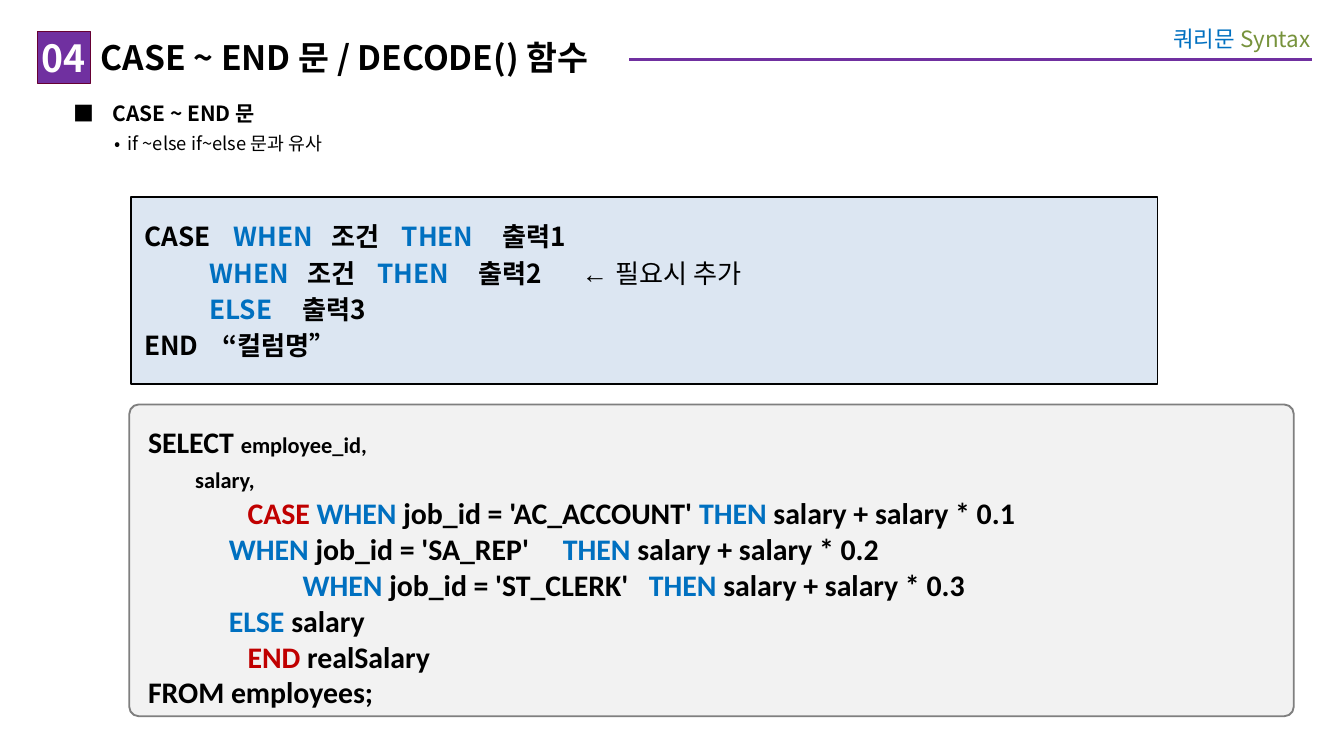
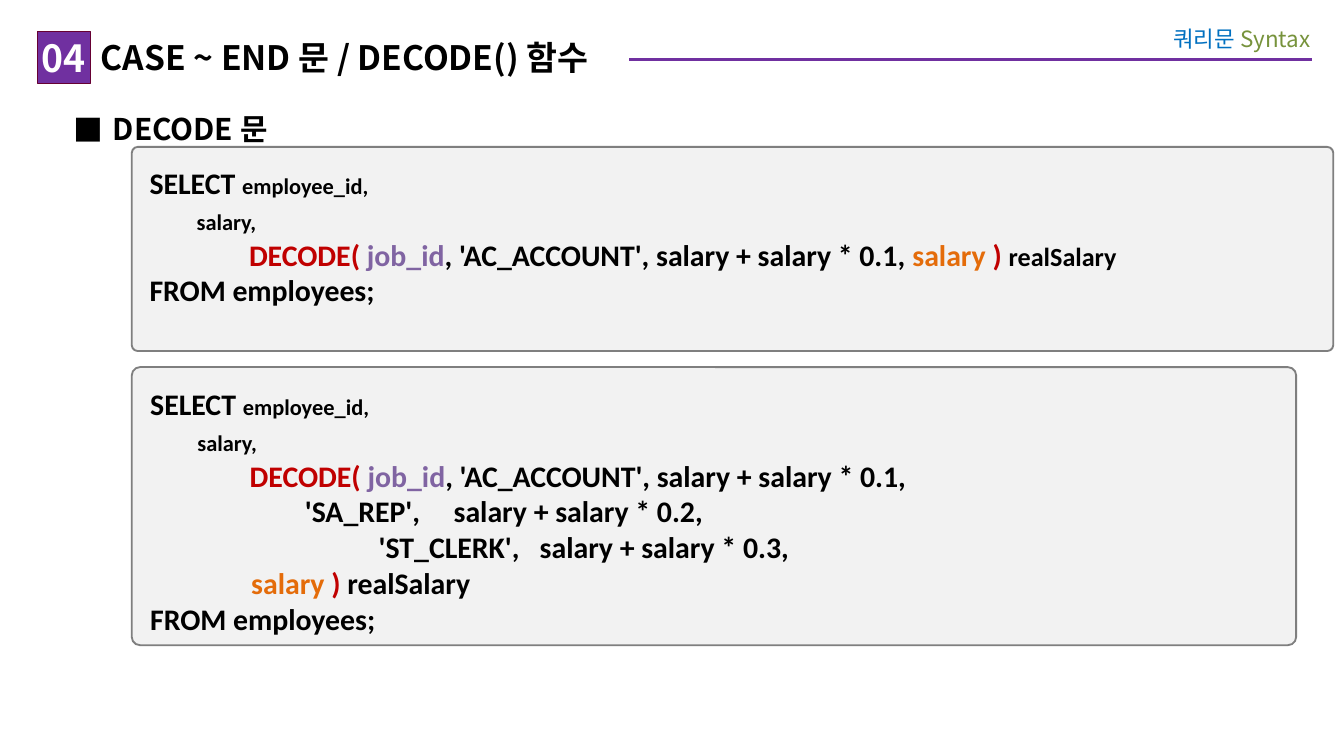
from dataclasses import dataclass

from lxml.etree import SubElement
from pptx import Presentation
from pptx.dml.color import RGBColor
from pptx.enum.shapes import MSO_CONNECTOR, MSO_SHAPE
from pptx.enum.text import MSO_ANCHOR, PP_ALIGN
from pptx.oxml.ns import qn
from pptx.util import Pt


@dataclass(frozen=True)
class Theme:
    sans: str = "Noto Sans CJK KR"
    code: str = "Calibri"
    arrow: str = "Arial"
    black: str = "000000"
    white: str = "FFFFFF"
    purple: str = "7030A0"
    badge_edge: str = "660033"
    blue: str = "0070C0"
    green: str = "77933C"
    red: str = "C00000"
    violet: str = "8064A2"
    orange: str = "E46C0A"
    syntax_fill: str = "DCE6F2"
    code_fill: str = "F2F2F2"
    code_edge: str = "7F7F7F"
    badge_size: float = 20
    title_size: float = 18
    code_size: float = 16
    syntax_size: float = 14
    result_size: float = 14
    column_size: float = 12
    header_size: float = 12


THEME = Theme()

# Span formats that override the base format of a box
BLUE = {"color": THEME.blue}
RED = {"color": THEME.red}
VIOLET = {"color": THEME.violet}
ORANGE = {"color": THEME.orange}
COLUMN = {"size": THEME.column_size}

# Code lines, each a list of (text, format) spans
SELECT_LINES = [
    [("SELECT ", {}), ("employee_id,", COLUMN)],
    [("       ", {}), ("salary,", COLUMN)],
]
FROM_LINE = [("FROM employees;", {})]
DECODE_START = [("\t ", {}), ("DECODE( ", RED), ("job_id", VIOLET)]
DECODE_END = [("salary ", ORANGE), (") ", RED)]


def when_line(lead, job, rate):
    return lead + [("WHEN", BLUE), (f" job_id = {job}", {}),
                   ("THEN", BLUE), (f" salary + salary * {rate}", {})]


CASE_QUERY = SELECT_LINES + [
    when_line([("\t ", {}), ("CASE ", RED)], "'AC_ACCOUNT' ", 0.1),
    when_line([("            ", {})], "'SA_REP'     ", 0.2),
    when_line([("\t\t   ", {})], "'ST_CLERK'   ", 0.3),
    [("            ", {}), ("ELSE", BLUE), (" salary", {})],
    [("\t ", {}), ("END", RED), (" realSalary", {})],
    FROM_LINE,
]
SHORT_DECODE_QUERY = SELECT_LINES + [
    DECODE_START + [(", 'AC_ACCOUNT', salary + salary * 0.1, ", {})]
    + DECODE_END + [("realSalary", {"size": THEME.result_size})],
    FROM_LINE,
]
LONG_DECODE_QUERY = SELECT_LINES + [
    DECODE_START + [(", 'AC_ACCOUNT', salary + salary * 0.1,", {})],
    [(" " * 23 + "'SA_REP',     salary + salary * 0.2,", {})],
    [("\t\t" + " " * 14 + "'ST_CLERK',   salary + salary * 0.3,", {})],
    [(" " * 15, {})] + DECODE_END + [("realSalary", {})],
    FROM_LINE,
]

# Syntax lines: tab stops in points, then spans
WHEN_SPANS = [("WHEN\t", BLUE), ("조건\t", {}), ("THEN\t", BLUE)]
SYNTAX_LINES = [
    ([48, 100.6, 138, 192], [("CASE\t", {})] + WHEN_SPANS + [("출력1", {})]),
    ([35, 87.5, 125, 179, 234.5],
     [("\t", {})] + WHEN_SPANS
     + [("출력2\t", {}), ("← ", {"name": THEME.arrow, "bold": False}),
        ("필요시 추가", {"bold": False})]),
    ([35, 85], [("\t", {}), ("ELSE\t", BLUE), ("출력3", {})]),
    ([42], [("END\t“컬럼명”", {})]),
]


# Text helpers
def add_spans(para, spans, base):
    for text, changes in spans:
        span = para.add_run()
        span.text = text
        values = {**base, **changes}
        span.font.color.rgb = RGBColor.from_string(values.pop("color"))
        values["size"] = Pt(values["size"])
        for key, value in values.items():
            setattr(span.font, key, value)
        SubElement(span.font._element, qn("a:ea"), typeface=values["name"])


def add_para(frame, spans, base, tabs=(), bullet=None, **formats):
    first = frame.paragraphs[0]
    para = frame.add_paragraph() if first.runs else first
    properties = para._p.get_or_add_pPr()
    if bullet:
        mark, margin, hanging = bullet
        properties.set("marL", str(Pt(margin)))
        properties.set("indent", str(-Pt(hanging)))
        color = SubElement(properties, qn("a:buClr"))
        SubElement(color, qn("a:srgbClr"), val=THEME.black)
        SubElement(properties, qn("a:buFont"), typeface=THEME.sans)
        SubElement(properties, qn("a:buChar"), char=mark)
    if tabs:
        stops = SubElement(properties, qn("a:tabLst"))
        for stop in tabs:
            SubElement(stops, qn("a:tab"), pos=str(Pt(stop)), algn="l")
    for key, value in {"alignment": PP_ALIGN.LEFT, **formats}.items():
        setattr(para, key, value)
    add_spans(para, spans, base)


def set_frame(box, insets, anchor=MSO_ANCHOR.TOP, wrap=True):
    frame = box.text_frame
    sides = ("margin_left", "margin_top", "margin_right", "margin_bottom")
    formats = {"word_wrap": wrap, "vertical_anchor": anchor,
               **{side: Pt(inset) for side, inset in zip(sides, insets)}}
    for key, value in formats.items():
        setattr(frame, key, value)
    return frame


def text_format(size, color=THEME.black, name=THEME.sans, bold=True):
    return {"size": size, "color": color, "name": name, "bold": bold}


# Shape helpers
def add_box(page, area, fill, edge=None, weight=1, kind=MSO_SHAPE.RECTANGLE):
    box = page.shapes.add_shape(kind, *map(Pt, area))
    box.shadow.inherit = False
    box.fill.solid()
    box.fill.fore_color.rgb = RGBColor.from_string(fill)
    if edge:
        box.line.color.rgb = RGBColor.from_string(edge)
        box.line.width = Pt(weight)
    else:
        box.line.fill.background()
    return box


def add_header(page):
    # Rule and subject label
    rule = page.shapes.add_connector(
        MSO_CONNECTOR.STRAIGHT, Pt(702.7), Pt(31.7), Pt(51.1), Pt(31.7))
    rule.line.color.rgb = RGBColor.from_string(THEME.purple)
    rule.line.width = Pt(1.5)
    SubElement(rule._element.spPr, qn("a:effectLst"))
    label = page.shapes.add_textbox(*map(Pt, (598.3, 7.9, 110.9, 25.9)))
    add_para(set_frame(label, (7.2, 5.8, 7.2, 5.8)),
             [("쿼리문 ", BLUE), ("Syntax", {"color": THEME.green})],
             text_format(THEME.header_size, bold=False),
             alignment=PP_ALIGN.RIGHT)

    # Title and section number
    title = add_box(page, (48.2, 16.6, 288.7, 27.4), THEME.white)
    add_para(set_frame(title, (5.8, 2.9, 0, 2.9), wrap=False),
             [("CASE ~ END 문 / DECODE() 함수", {})],
             text_format(THEME.title_size))
    badge = add_box(page, (20.2, 16.6, 28.1, 28.1), THEME.purple,
                    THEME.badge_edge, 0.25)
    add_para(set_frame(badge, (0, 0, 0, 0), MSO_ANCHOR.MIDDLE, False),
             [("04", {})], text_format(THEME.badge_size, THEME.white),
             alignment=PP_ALIGN.CENTER)


def add_topic(page, heading, size, spacing, detail=None):
    box = page.shapes.add_textbox(*map(Pt, (31, 49.7, 578.9, 33.8)))
    frame = set_frame(box, (8.6, 0, 7.2, 3.6))
    add_para(frame, [(heading, {})], text_format(size),
             bullet=("■", 20.9, 20.9), line_spacing=spacing)
    if detail:
        add_para(frame, [(detail, {})], text_format(9.8, bold=False),
                 bullet=("•", 28.8, 7.2), line_spacing=spacing)


def add_syntax(page, area):
    box = add_box(page, area, THEME.syntax_fill, THEME.black)
    frame = set_frame(box, (7.2, 3.6, 7.2, 3.6), MSO_ANCHOR.MIDDLE)
    for number, (tabs, spans) in enumerate(SYNTAX_LINES):
        add_para(frame, spans, text_format(THEME.syntax_size), tabs,
                 space_before=Pt(2.5 if number else 0))


def add_code(page, area, lines):
    box = add_box(page, area, THEME.code_fill, THEME.code_edge,
                  kind=MSO_SHAPE.ROUNDED_RECTANGLE)
    box.adjustments[0] = 0.03
    frame = set_frame(box, (8.6, 8.6, 8.6, 8.6))
    for spans in lines:
        add_para(frame, spans, text_format(THEME.code_size, name=THEME.code),
                 tabs=(49.7, 72))


def add_page(deck):
    page = deck.slides.add_slide(deck.slide_layouts[6])
    add_header(page)
    return page


def main():
    deck = Presentation()
    deck.slide_width, deck.slide_height = Pt(720), Pt(405)

    # CASE expression
    page = add_page(deck)
    add_topic(page, "CASE ~ END 문", 11.2, 1.3, "if ~else if~else 문과 유사")
    add_syntax(page, (70.1, 105.7, 550, 100))
    add_code(page, (69.3, 216.7, 623.8, 167), CASE_QUERY)

    # DECODE function
    page = add_page(deck)
    add_topic(page, "DECODE 문", 16, 1.5)
    add_code(page, (70.6, 78.7, 643.7, 109.4), SHORT_DECODE_QUERY)
    add_code(page, (70.6, 196.7, 623.8, 149), LONG_DECODE_QUERY)

    deck.save("out.pptx")


if __name__ == "__main__":
    main()
